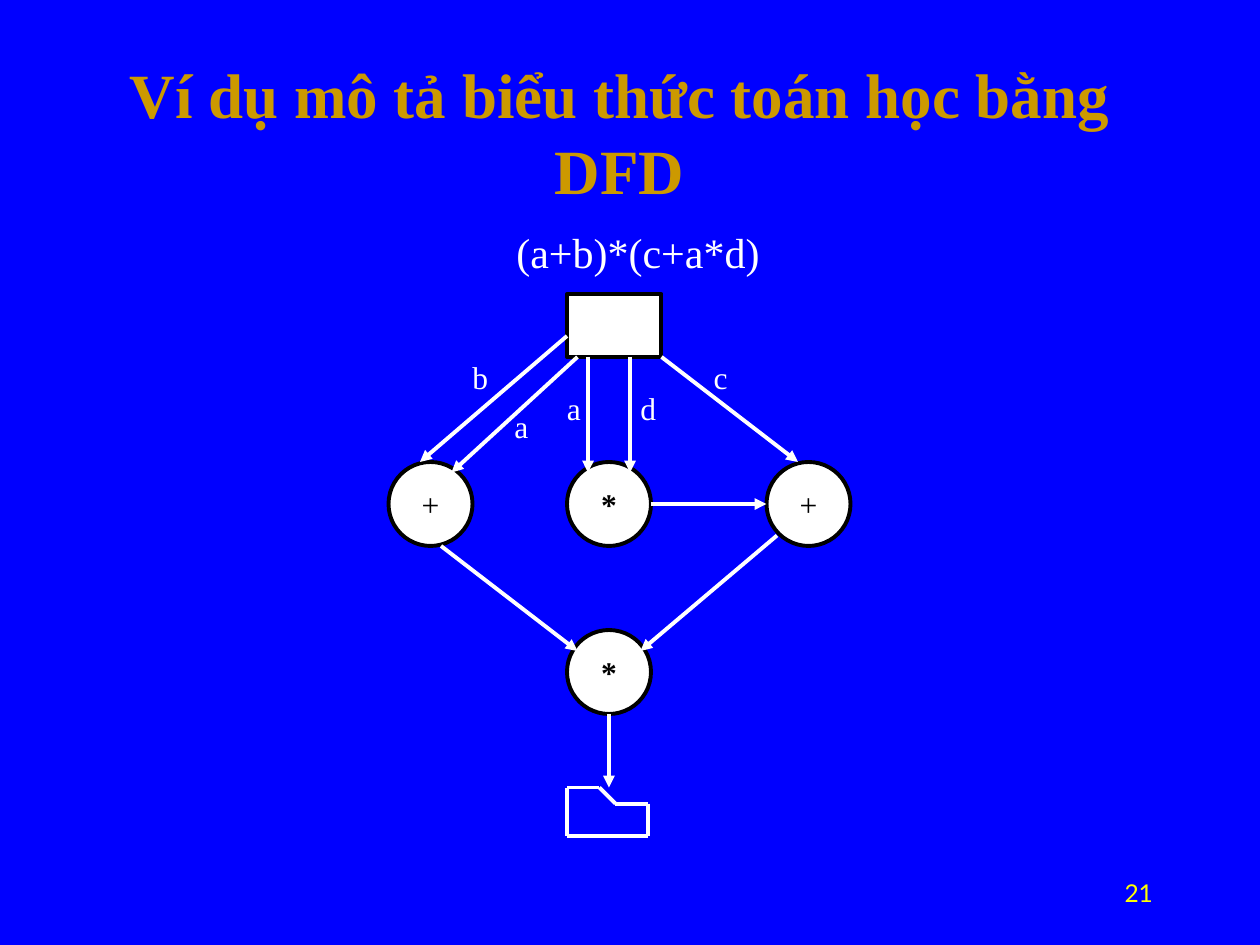
import dataclasses
import itertools

import pptx
import pptx.dml.color
import pptx.enum.shapes
import pptx.enum.text
import pptx.oxml
import pptx.oxml.ns
import pptx.util

SHAPE = pptx.enum.shapes.MSO_SHAPE
ALIGN = pptx.enum.text.PP_ALIGN
ANCHOR = pptx.enum.text.MSO_ANCHOR
COLUMNS, ROWS = 120, 90
CELL = pptx.util.Inches(10) / COLUMNS


@dataclasses.dataclass(frozen=True)
class Theme:
    background: str = "0000FF"
    title: str = "CC9900"
    light: str = "FFFFFF"
    dark: str = "000000"
    number: str = "FFFF00"
    font: str = "Times New Roman"
    number_font: str = "Lato"
    title_size: float = 36
    formula_size: float = 24
    body_size: float = 18
    number_size: float = 14
    stroke: float = 2.25


THEME = Theme()


def colour(value):
    return pptx.dml.color.RGBColor.from_string(value)


def cells(*values):
    return [round(value * CELL) for value in values]


def write(shape, text, size, ink, font=THEME.font, bold=False,
          align=ALIGN.LEFT, anchor=ANCHOR.TOP, wrap=False):
    frame = shape.text_frame
    frame.text = text
    frame.word_wrap = wrap
    frame.auto_size = pptx.enum.text.MSO_AUTO_SIZE.NONE
    frame.vertical_anchor = anchor
    para = frame.paragraphs[0]
    para.alignment = align
    for span in para.runs:
        span.font.name = font
        span.font.size = pptx.util.Pt(size)
        span.font.bold = bold
        span.font.color.rgb = colour(ink)


def add_label(page, box, text, size, ink, **style):
    write(page.shapes.add_textbox(*cells(*box)), text, size, ink, **style)


def add_node(page, kind, box, text=""):
    node = page.shapes.add_shape(kind, *cells(*box))
    node.shadow.inherit = False
    node.fill.solid()
    node.fill.fore_color.rgb = colour(THEME.light)
    node.line.color.rgb = colour(THEME.dark)
    node.line.width = pptx.util.Pt(THEME.stroke)
    if text:
        write(node, text, THEME.body_size, THEME.dark, bold=text == "*",
              align=ALIGN.CENTER, anchor=ANCHOR.MIDDLE)


def add_line(shapes, start, end, arrow=False):
    line = shapes.add_connector(
        pptx.enum.shapes.MSO_CONNECTOR.STRAIGHT, *cells(*start, *end))
    line.line.color.rgb = colour(THEME.light)
    line.line.width = pptx.util.Pt(THEME.stroke)
    properties = line._element.spPr
    if arrow:
        head = pptx.oxml.parse_xml(
            f'<a:tailEnd {pptx.oxml.ns.nsdecls("a")} type="triangle"/>')
        line.line._get_or_add_ln().append(head)
    properties.append(pptx.oxml.parse_xml(
        f'<a:effectLst {pptx.oxml.ns.nsdecls("a")}/>'))


def place_title(page, box):
    title = page.shapes.title
    title.left, title.top, title.width, title.height = cells(*box)
    write(title, "Ví dụ mô tả biểu thức toán học bằng DFD", THEME.title_size,
          THEME.title, bold=True, align=ALIGN.CENTER, anchor=ANCHOR.MIDDLE,
          wrap=True)


def place_folder(page, box):
    left, top, width, height = box
    outline = [(0, 0), (0.4, 0), (0.6, 1 / 3), (1, 1 / 3), (1, 1), (0, 1)]
    corners = [(left + x * width, top + y * height) for x, y in outline]
    folder = page.shapes.add_group_shape()
    for start, end in itertools.pairwise(corners + corners[:1]):
        add_line(folder.shapes, start, end)


def place_diagram(page, box):
    left, top, width, height = box
    node = 8
    middle = 17

    def at(column, row):
        return left + column, top + row

    operators = [("+", 0, 16), ("*", middle, 32), ("*", middle, 16),
                 ("+", width - node, 16)]
    for text, column, row in operators:
        add_node(page, SHAPE.OVAL, (*at(column, row), node, node), text)
    add_node(page, SHAPE.RECTANGLE, (*at(middle, 0), 9, 6))
    place_folder(page, (*at(middle, height - 4.6), 7.7, 4.6))

    arrows = [
        ((17, 4), (3, 16)), ((18, 6), (6, 17)), ((23, 6), (23, 17)),
        ((26, 6), (39, 16)), ((19, 6), (19, 17)), ((25, 20), (36, 20)),
        ((5, 24), (18, 34)), ((37, 23), (24, 34)), ((21, 40), (21, 47)),
    ]
    for start, end in arrows:
        add_line(page.shapes, at(*start), at(*end), arrow=True)

    labels = [("b", 6.8, 5.5), ("a", 10.8, 10.2), ("a", 15.8, 8.5),
              ("d", 22.8, 8.5), ("c", 29.8, 5.5)]
    for text, column, row in labels:
        add_label(page, (*at(column, row), 3.8, 4.8), text,
                  THEME.body_size, THEME.light)


def build_page(deck):
    page = deck.slides.add_slide(deck.slide_layouts.get_by_name("Title Only"))
    page.background.fill.solid()
    page.background.fill.fore_color.rgb = colour(THEME.background)
    place_title(page, (6, 5, 106, 15))
    place_diagram(page, (37, 28, 44, 51.6))
    add_label(page, (48, 21, 25.5, 6), "(a+b)*(c+a*d)",
              THEME.formula_size, THEME.light)
    add_label(page, (86, 83, 25, 4), "21", THEME.number_size, THEME.number,
              font=THEME.number_font, align=ALIGN.RIGHT, wrap=True)


def main():
    deck = pptx.Presentation()
    deck.slide_width, deck.slide_height = cells(COLUMNS, ROWS)
    build_page(deck)
    deck.save("out.pptx")


if __name__ == "__main__":
    main()
